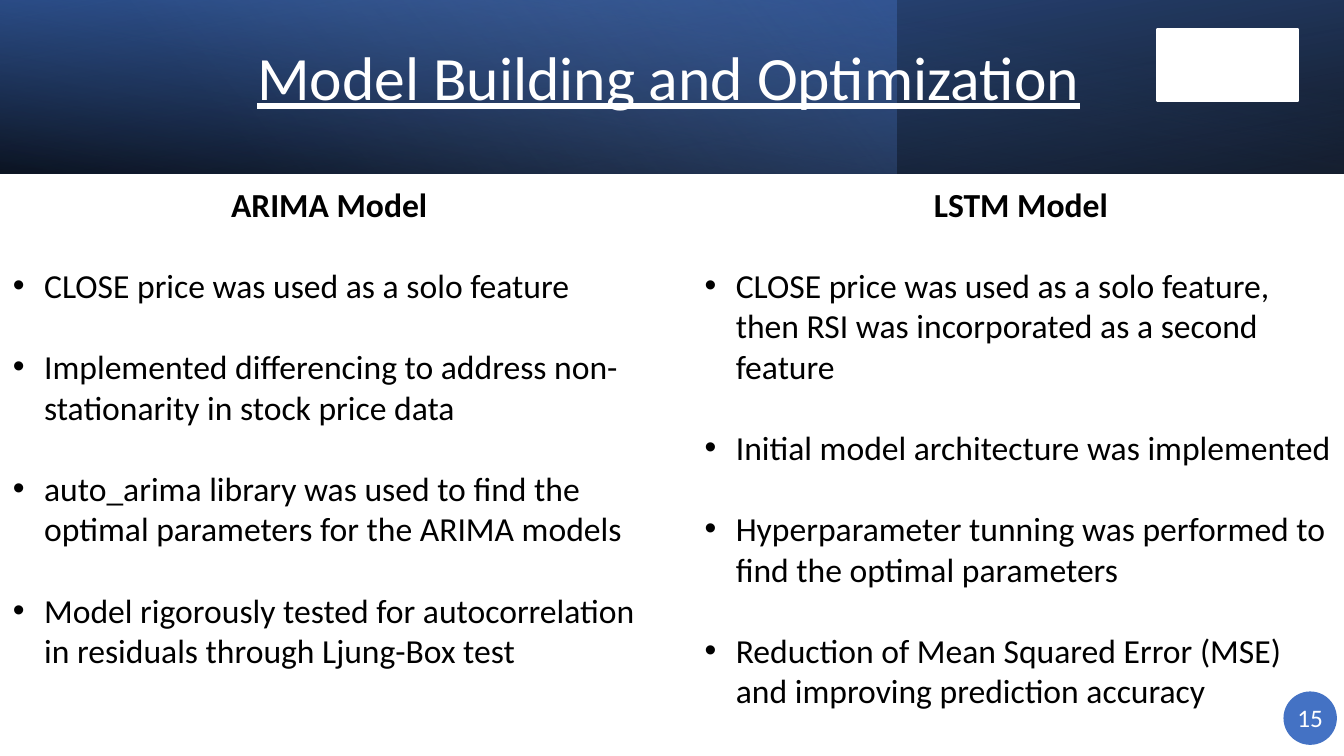
from dataclasses import dataclass

from lxml.etree import SubElement
from pptx import Presentation
from pptx.dml.color import RGBColor
from pptx.enum.shapes import MSO_SHAPE
from pptx.enum.text import MSO_ANCHOR, PP_ALIGN
from pptx.oxml.ns import qn
from pptx.util import Inches, Pt


@dataclass(frozen=True)
class Theme:
    font: str = "Calibri"
    white: str = "FFFFFF"
    black: str = "000000"
    blue: str = "4472C4"
    deep: str = "2F5597"
    pale: str = "8FAADC"
    title: int = 44
    body: int = 24
    page: int = 18
    gap: float = 29.3  # one line of body text


@dataclass(frozen=True)
class Stop:
    at: int
    color: str
    alpha: int = 100


@dataclass(frozen=True)
class Band:
    width: float
    angle: int
    stops: tuple[Stop, ...]
    turn: int = 0
    flip: bool = False


@dataclass(frozen=True)
class Column:
    left: float
    height: float
    head: str
    points: tuple[str, ...]


THEME = Theme()
WIDTH, HEIGHT, BAND = 13.33, 7.5, 1.72

BANDS = (
    Band(WIDTH, 100, (Stop(0, THEME.black, 96), Stop(100, THEME.deep)), 180, True),
    Band(8.89, 140, (Stop(0, THEME.blue, 41), Stop(74, THEME.pale, 0))),
    Band(WIDTH, 260, (Stop(0, THEME.black, 63), Stop(78, THEME.blue, 15)), 0, True),
)

COLUMNS = (
    Column(0.03, 5.78, "ARIMA Model", (
        "CLOSE price was used as a solo feature",
        "Implemented differencing to address non-stationarity in stock price data",
        "auto_arima library was used to find the optimal parameters for the ARIMA models",
        "Model rigorously tested for autocorrelation in residuals through Ljung-Box test",
    )),
    Column(6.89, 5.85, "LSTM Model", (
        "CLOSE price was used as a solo feature, then RSI was incorporated as a second feature",
        "Initial model architecture was implemented",
        "Hyperparameter tunning was performed to find the optimal parameters",
        "Reduction of Mean Squared Error (MSE) and improving prediction accuracy",
    )),
)


def add_run(para, text: str, size: int, color: str, bold: bool = False):
    run = para.add_run()
    run.text = text
    font = run.font
    font.name, font.size, font.bold = THEME.font, Pt(size), bold
    font.color.rgb = RGBColor.from_string(color)
    return run


def add_plain(slide, kind, left: float, top: float, width: float, height: float, color: str):
    """Add a flat shape without outline or shadow."""
    shape = slide.shapes.add_shape(
        kind, Inches(left), Inches(top), Inches(width), Inches(height))
    shape.shadow.inherit = False
    shape.fill.solid()
    shape.fill.fore_color.rgb = RGBColor.from_string(color)
    shape.line.fill.background()
    return shape


def add_band(slide, band: Band) -> None:
    shape = add_plain(slide, MSO_SHAPE.RECTANGLE, 0, 0, band.width, BAND, THEME.blue)
    shape.rotation = band.turn
    props = shape.element.spPr
    if band.flip:
        props.find(qn("a:xfrm")).set("flipH", "1")
    solid = props.find(qn("a:solidFill"))
    grad = SubElement(props, qn("a:gradFill"), rotWithShape="1")
    props.replace(solid, grad)
    stops = SubElement(grad, qn("a:gsLst"))
    for stop in band.stops:
        mark = SubElement(stops, qn("a:gs"), pos=str(stop.at * 1000))
        color = SubElement(mark, qn("a:srgbClr"), val=stop.color)
        SubElement(color, qn("a:alpha"), val=str(stop.alpha * 1000))
    SubElement(grad, qn("a:lin"), ang=str(band.angle * 60000), scaled="0")


def add_title(slide, text: str) -> None:
    title = slide.shapes.title
    title.left, title.top = Inches(2.45), Inches(0.16)
    title.width, title.height = Inches(8.44), Inches(1.27)
    title.element.getparent().append(title.element)  # in front of the bands
    frame = title.text_frame
    frame.vertical_anchor = MSO_ANCHOR.MIDDLE
    para = frame.paragraphs[0]
    para.alignment = PP_ALIGN.LEFT
    para.line_spacing, para.space_after = 0.9, Pt(6)
    add_run(para, text, THEME.title, THEME.white).font.underline = True


def set_bullet(para) -> None:
    props = para._p.get_or_add_pPr()
    indent = Inches(0.31)
    props.set("marL", str(indent))
    props.set("indent", str(-indent))
    SubElement(props, qn("a:buFont"), typeface="Arial")
    SubElement(props, qn("a:buChar"), char="•")


def add_column(slide, column: Column) -> None:
    box = slide.shapes.add_textbox(
        Inches(column.left), Inches(BAND), Inches(6.47), Inches(column.height))
    frame = box.text_frame
    frame.word_wrap = True
    frame.margin_top = frame.margin_bottom = Inches(0.1)
    head = frame.paragraphs[0]
    head.alignment = PP_ALIGN.CENTER
    add_run(head, column.head, THEME.body, THEME.black, bold=True)
    for point in column.points:
        para = frame.add_paragraph()
        set_bullet(para)
        para.space_before = Pt(THEME.gap)
        add_run(para, point, THEME.body, THEME.black)


def add_page(slide, number: str) -> None:
    add_plain(slide, MSO_SHAPE.OVAL, 12.73, 6.86, 0.53, 0.53, THEME.blue)
    box = slide.shapes.add_textbox(Inches(12.77), Inches(6.92), Inches(0.49), Inches(0.4))
    box.text_frame.word_wrap = True
    add_run(box.text_frame.paragraphs[0], number, THEME.page, THEME.white)


def main() -> None:
    deck = Presentation()
    deck.slide_width, deck.slide_height = Inches(WIDTH), Inches(HEIGHT)
    slide = deck.slides.add_slide(deck.slide_layouts[5])
    for band in BANDS:
        add_band(slide, band)
    add_title(slide, "Model Building and Optimization")
    for column in COLUMNS:
        add_column(slide, column)
    badge = add_plain(slide, MSO_SHAPE.RECTANGLE, 11.48, 0.29, 1.39, 0.71, THEME.white)
    badge.line.color.rgb = RGBColor.from_string(THEME.white)
    badge.line.width = Pt(1.5)
    add_page(slide, "15")
    deck.save("out.pptx")


if __name__ == "__main__":
    main()
